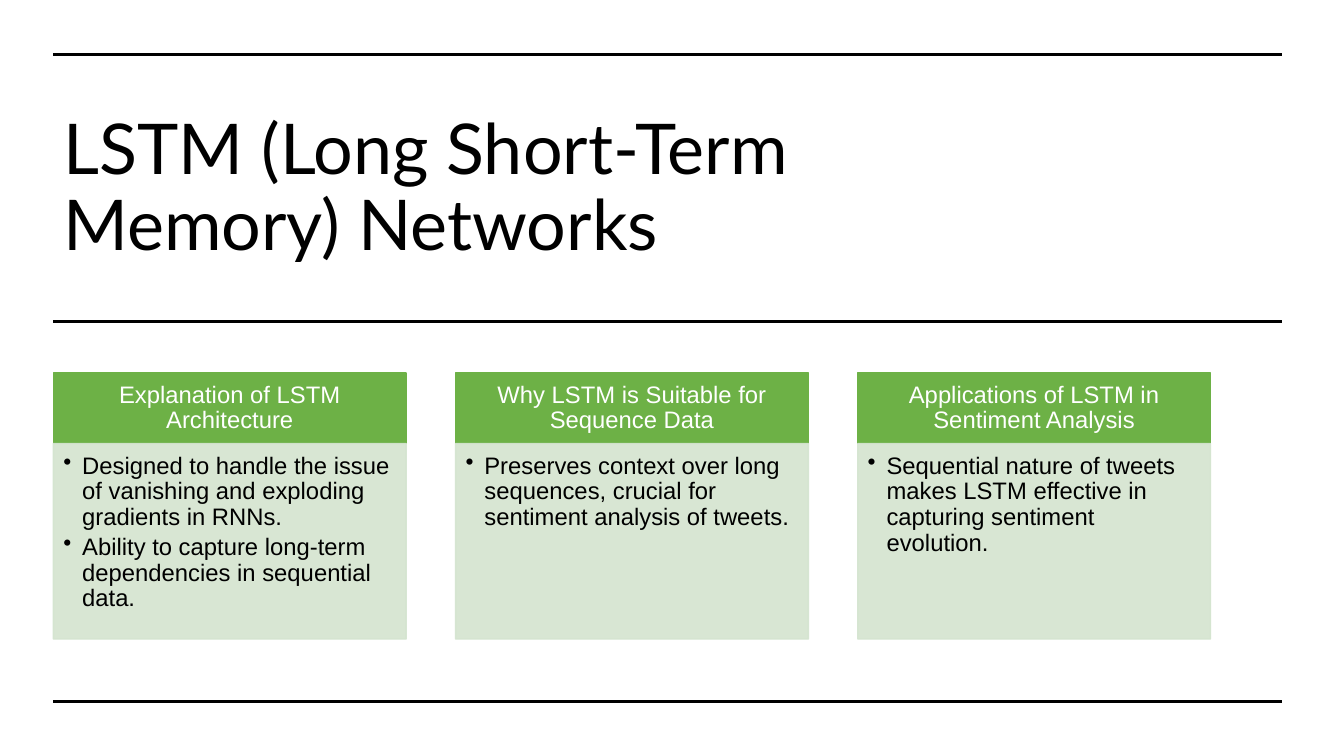
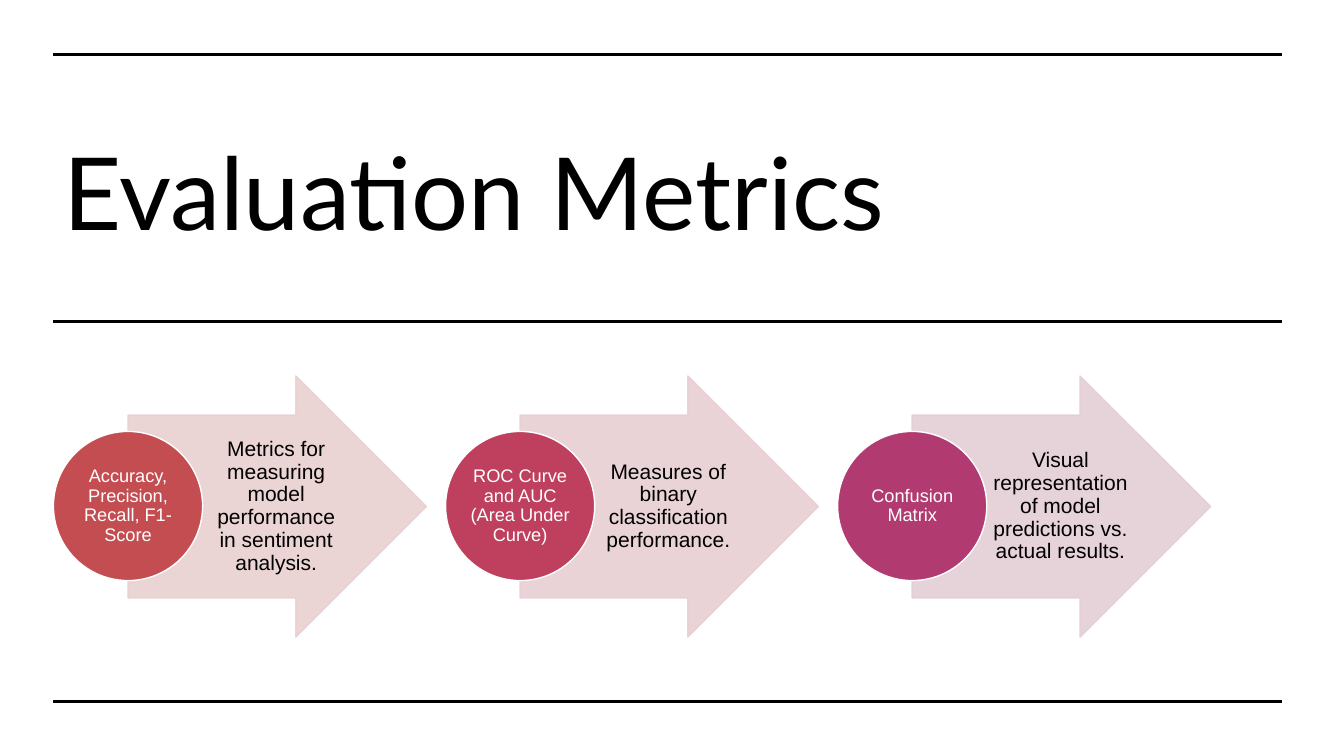
from lxml import etree
from pptx import Presentation
from pptx import util as u
from pptx.dml.color import RGBColor
from pptx.enum import shapes, text
from pptx.oxml import ns

COLORS = {
    "ink": "000000", "paper": "FFFFFF",
    "header": "6DB146", "panel": "D4E4CF",
    "red": "C34D51", "red_pale": "E9D0D0",
    "rose": "BE405E", "rose_pale": "E7CFD3",
    "plum": "B13B70", "plum_pale": "E4CED5",
}
LEFT, RIGHT = 38.16, 915.84
RULES = (38.88, 229.68, 501.12)
TITLE_BOX = (LEFT, 77.04, 662.4, 117.36)


def write(box, *lines, size, color="ink", font="Arial", align="CENTER",
          anchor="MIDDLE", insets=(7.2, 3.6, 7.2, 3.6), spacing=0.9, bullet=None):
    frame = box.text_frame
    frame.word_wrap = True
    frame.vertical_anchor = text.MSO_ANCHOR[anchor]
    (frame.margin_left, frame.margin_top,
     frame.margin_right, frame.margin_bottom) = map(u.Pt, insets)
    for number, line in enumerate(lines):
        para = frame.add_paragraph() if number else frame.paragraphs[0]
        para.alignment = text.PP_ALIGN[align]
        para.line_spacing = spacing
        span = para.add_run()
        span.text = line
        span.font.name = font
        span.font.size = u.Pt(size)
        span.font.color.rgb = RGBColor.from_string(COLORS[color])
        if bullet:
            para.space_after = u.Pt(2.9)
            props = para._p.get_or_add_pPr()
            props.set("marL", str(u.Pt(13.5)))
            props.set("indent", str(u.Pt(-13.5)))
            etree.SubElement(props, ns.qn("a:buChar"), char=bullet)


def add_filled(page, kind, area, fill, line=None, opacity=100):
    shape = page.shapes.add_shape(shapes.MSO_SHAPE[kind], *map(u.Pt, area))
    shape.shadow.inherit = False
    shape.fill.solid()
    shape.fill.fore_color.rgb = RGBColor.from_string(COLORS[fill])
    shape.line.color.rgb = RGBColor.from_string(COLORS[line or fill])
    shape.line.width = u.Pt(1)
    if opacity < 100:
        for tint in shape._element.spPr.iter(ns.qn("a:srgbClr")):
            etree.SubElement(tint, ns.qn("a:alpha"), val=str(opacity * 1000))
    return shape


deck = Presentation()
deck.slide_width, deck.slide_height = u.Pt(960), u.Pt(540)

# Shared frame: title and three rules
pages = []
for title, size, spacing in (("LSTM (Long Short-Term Memory) Networks", 50, 0.9),
                             ("Evaluation Metrics", 72, 1.0)):
    page = deck.slides.add_slide(deck.slide_layouts[6])
    box = page.shapes.add_textbox(*map(u.Pt, TITLE_BOX))
    write(box, title, size=size, font="Lato", align="LEFT", spacing=spacing)
    for y in RULES:
        rule = page.shapes.add_connector(
            shapes.MSO_CONNECTOR.STRAIGHT, u.Pt(LEFT), u.Pt(y), u.Pt(RIGHT), u.Pt(y))
        rule.line.color.rgb = RGBColor.from_string(COLORS["ink"])
        rule.line.width = u.Pt(2.25)
        etree.SubElement(rule._element.spPr, ns.qn("a:effectLst"))
    pages.append(page)
lstm_page, metrics_page = pages

# Slide 1: three headed panels
PANELS = (
    ("Explanation of LSTM Architecture",
     ("Designed to handle the issue of vanishing and exploding gradients in RNNs.",
      "Ability to capture long-term dependencies in sequential data.")),
    ("Why LSTM is Suitable for Sequence Data",
     ("Preserves context over long sequences, crucial for sentiment analysis of tweets.",)),
    ("Applications of LSTM in Sentiment Analysis",
     ("Sequential nature of tweets makes LSTM effective in capturing sentiment evolution.",)),
)
for column, (heading, points) in enumerate(PANELS):
    x = LEFT + column * 287.28
    header = add_filled(lstm_page, "RECTANGLE", (x, 266.4, 252, 50.4), "header")
    write(header, heading, size=17, color="paper", insets=(9.5, 5.5, 9.5, 5.5))
    panel = add_filled(lstm_page, "RECTANGLE", (x, 316.8, 252, 139.68), "panel", opacity=90)
    write(panel, *points, size=17, align="LEFT", anchor="TOP",
          insets=(7.2, 7.2, 9.5, 10.8), bullet="•")

# Slide 2: three arrows, each led by a circle
METRICS = (
    ("red", "Accuracy, Precision, Recall, F1-Score",
     "Metrics for measuring model performance in sentiment analysis."),
    ("rose", "ROC Curve and AUC (Area Under Curve)",
     "Measures of binary classification performance."),
    ("plum", "Confusion Matrix",
     "Visual representation of model predictions vs. actual results."),
)
DIAMETER = 106.56
for column, (hue, metric, meaning) in enumerate(METRICS):
    x = LEFT + column * 280.08
    arrow = add_filled(metrics_page, "RIGHT_ARROW",
                       (x + DIAMETER / 2, 268.56, 213.12, 186.48), hue + "_pale", opacity=90)
    arrow.adjustments[0], arrow.adjustments[1] = 0.7, 0.5
    box = metrics_page.shapes.add_textbox(
        *map(u.Pt, (x + DIAMETER, 296.64, 103.68, 130.32)))
    write(box, meaning, size=15, insets=(3, 1, 1.5, 1))
    circle = add_filled(metrics_page, "OVAL", (x, 308.16, DIAMETER, DIAMETER), hue, line="paper")
    write(circle, metric, size=13, color="paper", insets=(1, 1, 1, 1))

deck.save("out.pptx")
